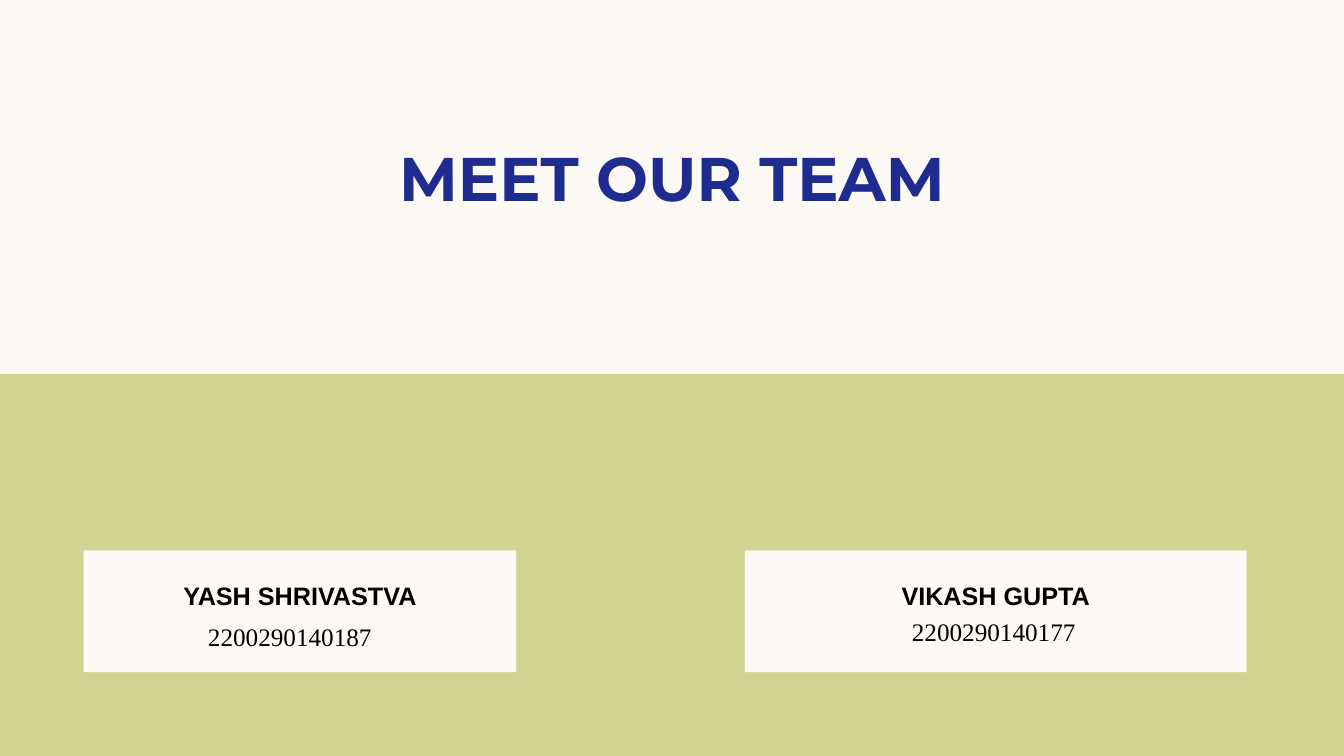
from pptx import Presentation
from pptx.dml.color import RGBColor
from pptx.enum.shapes import MSO_SHAPE
from pptx.enum.text import MSO_ANCHOR, PP_ALIGN
from pptx.util import Cm, Pt

# Content: name, roll number, card (left, width), number (left, top, width) in cm
TITLE = "MEET OUR TEAM"
TEAM = [
    ("YASH SHRIVASTVA", "2200290140187", (2.11, 10.9), (2.54, 15.54, 9.53)),
    ("VIKASH GUPTA", "2200290140177", (18.77, 12.65), (19.1, 15.39, 11.89)),
]

CREAM = RGBColor(0xFD, 0xFA, 0xF6)
GREEN = RGBColor(0xD2, 0xD5, 0x92)
NAVY = RGBColor(0x1F, 0x2C, 0x8F)
BLACK = RGBColor(0, 0, 0)

WIDE, HIGH = 33.87, 19.05
BAND_TOP = 9.42
CARD_TOP, CARD_HIGH = 13.87, 3.07
ROLL_HIGH = 1.02


def add_rect(slide, left, top, width, height, color):
    rect = slide.shapes.add_shape(
        MSO_SHAPE.RECTANGLE, Cm(left), Cm(top), Cm(width), Cm(height))
    rect.shadow.inherit = False
    rect.fill.solid()
    rect.fill.fore_color.rgb = color
    rect.line.fill.background()
    return rect


def set_text(shape, text, face, size, color, bold, anchor):
    frame = shape.text_frame
    frame.word_wrap = True
    frame.vertical_anchor = anchor
    frame.text = text
    para = frame.paragraphs[0]
    para.alignment = PP_ALIGN.CENTER
    font = para.font
    font.name, font.size, font.bold = face, Pt(size), bold
    font.color.rgb = color


def main():
    deck = Presentation()
    deck.slide_width, deck.slide_height = Cm(WIDE), Cm(HIGH)
    slide = deck.slides.add_slide(deck.slide_layouts[5])

    # Background and lower band
    slide.background.fill.solid()
    slide.background.fill.fore_color.rgb = CREAM
    add_rect(slide, 0, BAND_TOP, WIDE, HIGH - BAND_TOP, GREEN)

    # Title
    title = slide.shapes.title
    title.left, title.top = Cm(2.12), Cm(3.38)
    title.width, title.height = Cm(29.64), Cm(2.13)
    set_text(title, TITLE, "Montserrat", 44, NAVY, True, MSO_ANCHOR.MIDDLE)

    # Team cards
    for name, roll, (left, width), (x, y, span) in TEAM:
        card = add_rect(slide, left, CARD_TOP, width, CARD_HIGH, CREAM)
        set_text(card, name, "Arial", 18, BLACK, True, MSO_ANCHOR.TOP)
        frame = card.text_frame
        frame.margin_left = frame.margin_right = 0
        frame.margin_top, frame.margin_bottom = Cm(0.76), Cm(0.13)

        box = slide.shapes.add_textbox(Cm(x), Cm(y), Cm(span), Cm(ROLL_HIGH))
        set_text(box, roll, "Times New Roman", 18, BLACK, False,
                 MSO_ANCHOR.MIDDLE)

    deck.save("out.pptx")


if __name__ == "__main__":
    main()
